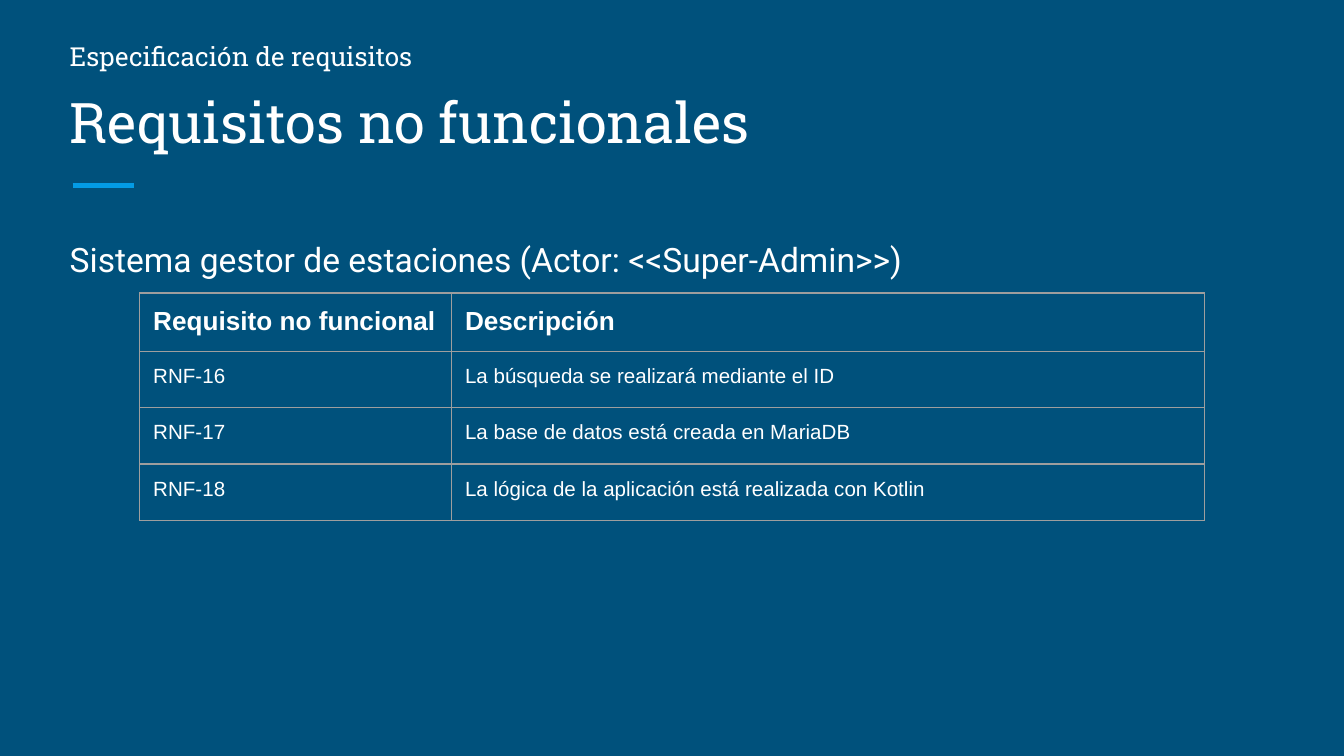
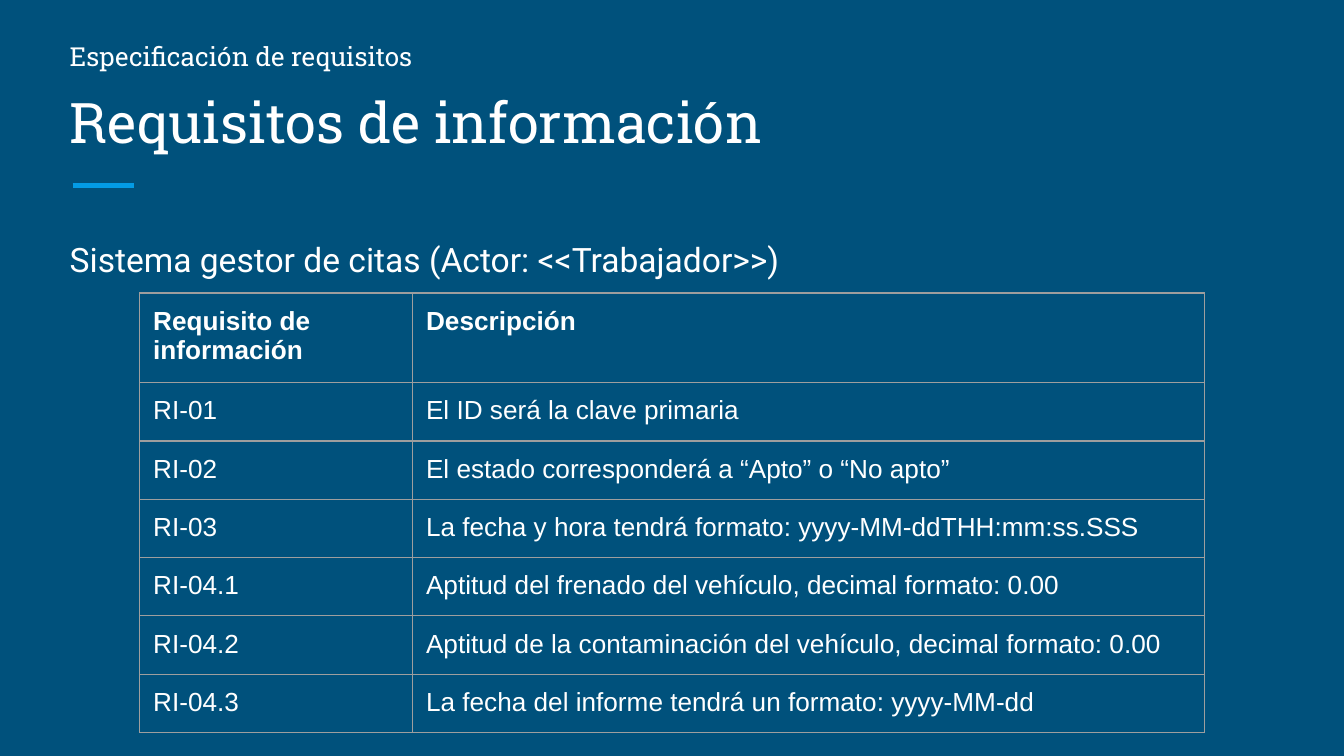
from lxml.etree import SubElement
from pptx import Presentation
from pptx.dml.color import RGBColor
from pptx.enum.shapes import MSO_CONNECTOR
from pptx.enum.text import MSO_ANCHOR
from pptx.oxml import parse_xml
from pptx.oxml.ns import nsdecls, qn
from pptx.util import Inches, Pt

# Content
SECTION = "Especificación de requisitos"
SLIDES = [
    {
        "title": "Requisitos no funcionales",
        "system": "Sistema gestor de estaciones (Actor: <<Super-Admin>>)",
        "columns": (2.32, 5.6),
        "body_size": 11,
        "rows": [
            ("Requisito no funcional", "Descripción"),
            ("RNF-16", "La búsqueda se realizará mediante el ID"),
            ("RNF-17", "La base de datos está creada en MariaDB"),
            ("RNF-18", "La lógica de la aplicación está realizada con Kotlin"),
        ],
    },
    {
        "title": "Requisitos de información",
        "system": "Sistema gestor de citas (Actor: <<Trabajador>>)",
        "columns": (2.03, 5.89),
        "body_size": 14,
        "rows": [
            ("Requisito de información", "Descripción"),
            ("RI-01", "El ID será la clave primaria"),
            ("RI-02", "El estado corresponderá a “Apto” o “No apto”"),
            ("RI-03", "La fecha y hora tendrá formato: yyyy-MM-ddTHH:mm:ss.SSS"),
            ("RI-04.1", "Aptitud del frenado del vehículo, decimal formato: 0.00"),
            ("RI-04.2", "Aptitud de la contaminación del vehículo, decimal formato: 0.00"),
            ("RI-04.3", "La fecha del informe tendrá un formato: yyyy-MM-dd"),
        ],
    },
]

# Shared style
COLORS = {"background": "00517C", "accent": "039BE5", "text": "FFFFFF", "border": "9E9E9E"}
HEADING_FONT, BODY_FONT, TABLE_FONT = "Roboto Slab", "Roboto", "Arial"
SLIDE_WIDTH = 10
SLIDE_HEIGHT = SLIDE_WIDTH * 9 / 16
LEFT, WIDTH, INSET = 0.42, 9.15, 0.1
TABLE_LEFT, TABLE_TOP, ROW_HEIGHT = 1.04, 2.18, 0.42
HEADER_SIZE, BORDER_WIDTH = 14, 0.75


def color(name):
    return RGBColor.from_string(COLORS[name])


def style_font(p, font, size, bold=False):
    for r in p.runs:
        r.font.name, r.font.size, r.font.bold = font, Pt(size), bold
        r.font.color.rgb = color("text")


def set_insets(box):
    box.margin_left = box.margin_right = Inches(INSET)
    box.margin_top = box.margin_bottom = Inches(INSET)


def add_text(s, text, top, width, height, font, size, anchor=MSO_ANCHOR.TOP):
    tf = s.shapes.add_textbox(Inches(LEFT), Inches(top), Inches(width), Inches(height)).text_frame
    tf.word_wrap = True
    tf.vertical_anchor = anchor
    set_insets(tf)
    tf.text = text
    p = tf.paragraphs[0]
    style_font(p, font, size)
    return p


def add_accent(s):
    line = s.shapes.add_connector(MSO_CONNECTOR.STRAIGHT, Inches(0.54), Inches(1.38),
                                  Inches(1), Inches(1.38))
    line.line.color.rgb = color("accent")
    line.line.width = Pt(3)
    SubElement(line.element.spPr, qn("a:effectLst"))


def add_borders(cell):
    tc_pr = cell._tc.get_or_add_tcPr()
    for i, side in enumerate(("lnL", "lnR", "lnT", "lnB")):
        tc_pr.insert(i, parse_xml(
            f'<a:{side} {nsdecls("a")} w="{Pt(BORDER_WIDTH)}"><a:solidFill>'
            f'<a:srgbClr val="{COLORS["border"]}"/></a:solidFill></a:{side}>'))


def add_requirements(s, rows, columns, body_size):
    table = s.shapes.add_table(len(rows), len(columns), Inches(TABLE_LEFT), Inches(TABLE_TOP),
                               Inches(sum(columns)), Inches(ROW_HEIGHT * len(rows))).table
    table.horz_banding = False
    for column, width in zip(table.columns, columns):
        column.width = Inches(width)
    for i, row in enumerate(rows):
        table.rows[i].height = Inches(ROW_HEIGHT)
        for j, text in enumerate(row):
            cell = table.cell(i, j)
            cell.text = text
            set_insets(cell)
            cell.fill.background()
            add_borders(cell)
            header = i == 0
            style_font(cell.text_frame.paragraphs[0], TABLE_FONT,
                       HEADER_SIZE if header else body_size, header)


def add_slide(prs, content):
    s = prs.slides.add_slide(prs.slide_layouts[6])
    s.background.fill.solid()
    s.background.fill.fore_color.rgb = color("background")
    # Heading
    add_accent(s)
    add_text(s, content["title"], 0.5, WIDTH, 0.75, HEADING_FONT, 30, MSO_ANCHOR.BOTTOM)
    # System and actor
    p = add_text(s, content["system"], 1.63, WIDTH, 3.37, BODY_FONT, 18)
    p.line_spacing = 1.15
    p.space_after = Pt(12)
    # Section label
    add_text(s, SECTION, 0.2, 4.57, 0.44, HEADING_FONT, 14)
    # Requirements table
    add_requirements(s, content["rows"], content["columns"], content["body_size"])


def main():
    prs = Presentation()
    prs.slide_width, prs.slide_height = Inches(SLIDE_WIDTH), Inches(SLIDE_HEIGHT)
    for content in SLIDES:
        add_slide(prs, content)
    prs.save("out.pptx")


if __name__ == "__main__":
    main()
